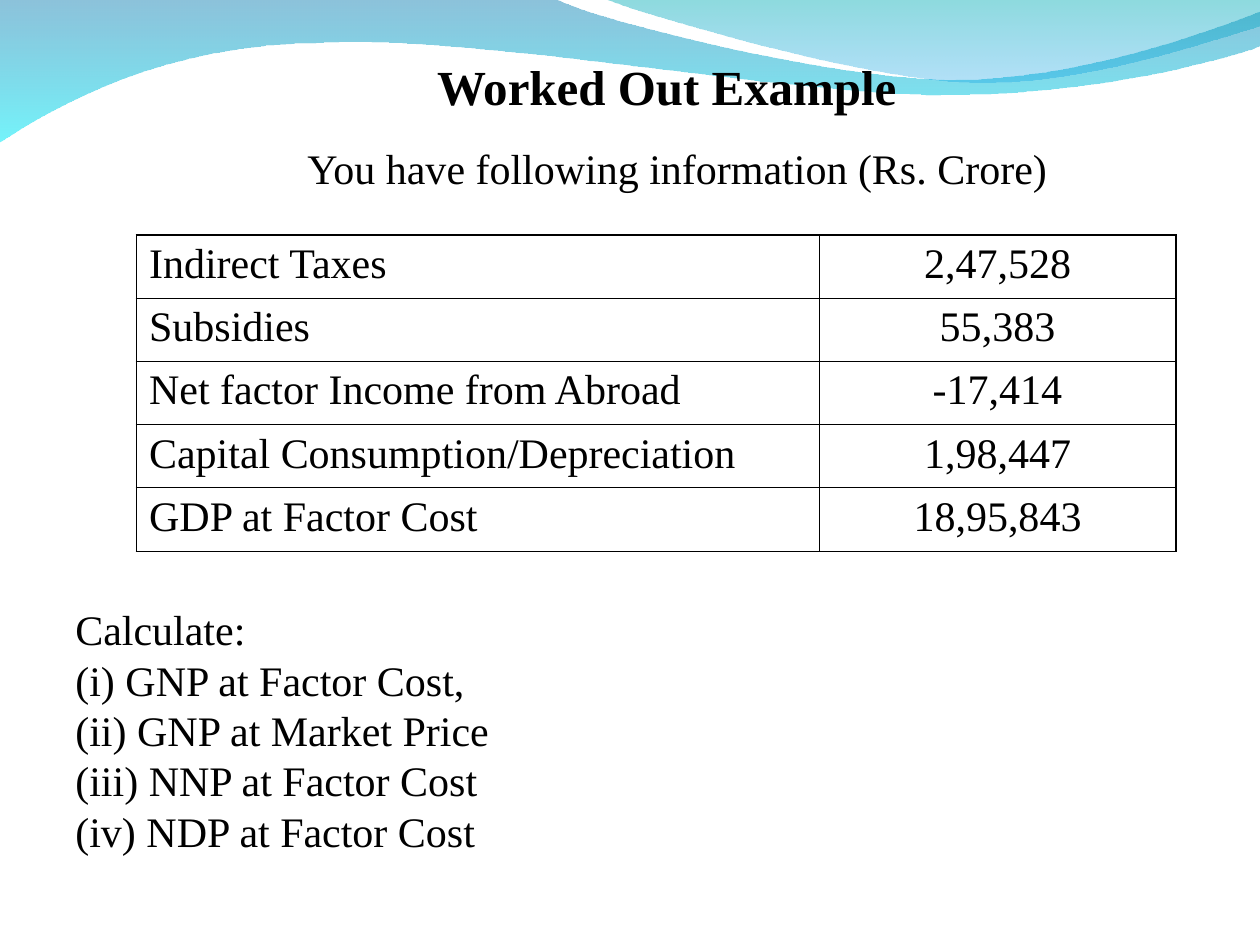
from lxml.etree import Element, SubElement
from pptx import Presentation
from pptx.dml.color import RGBColor
from pptx.enum.text import MSO_ANCHOR as ANCHOR, PP_ALIGN as ALIGN
from pptx.oxml.ns import qn
from pptx.util import Inches, Pt

COLS, ROWS = 120, 90
CELL = Inches(10) / COLS
FONT = "Times New Roman"
BLACK = "000000"

LOWER_WAVE = [
    [(0, -0.01)],
    [(4.4, -0.01)],
    [(4.76, 0.17), (6.64, 0.63), (7.58, 0.63)],
    [(8.53, 0.63), (9.58, 0.26), (10, 0.09)],
    [(10.01, 0.36)],
    [(9.83, 0.44), (8.7, 0.76), (7.46, 0.75)],
    [(6.22, 0.75), (3.82, 0.28), (2.57, 0.34)],
    [(1.29, 0.35), (0.46, 0.83), (-0.01, 1.13)],
]
UPPER_WAVE = [
    [(4.79, -0.01)],
    [(5.09, 0.11), (6.82, 0.62), (7.69, 0.65)],
    [(8.56, 0.69), (9.61, 0.32), (10, 0.21)],
    [(10, 0)],
]
DATA = [
    ("Indirect Taxes", "2,47,528"),
    ("Subsidies", "55,383"),
    ("Net factor Income from Abroad", "-17,414"),
    ("Capital Consumption/Depreciation", "1,98,447"),
    ("GDP at Factor Cost", "18,95,843"),
]
TASKS = [
    "Calculate:",
    "(i) GNP at Factor Cost,",
    "(ii) GNP at Market Price",
    "(iii) NNP at Factor Cost",
    "(iv) NDP at Factor Cost",
]


def color(value):
    return RGBColor.from_string(value)


def grid(*units):
    return [round(u * CELL) for u in units]


def bend_edges(sp, segments):
    edges = list(sp._element.iter(qn("a:lnTo")))
    for edge, segment in zip(edges, segments[1:]):
        if len(segment) == 3:
            curve = Element(qn("a:cubicBezTo"))
            for x, y in segment:
                SubElement(curve, qn("a:pt"), x=str(x - sp.left), y=str(y - sp.top))
            edge.getparent().replace(edge, curve)


def add_wave(slide, outline, stops):
    segments = [[(Inches(x), Inches(y)) for x, y in seg] for seg in outline]
    start, *ends = [seg[-1] for seg in segments]
    builder = slide.shapes.build_freeform(*start)
    builder.add_line_segments(ends, close=True)
    sp = builder.convert_to_shape()
    bend_edges(sp, segments)
    sp.shadow.inherit = False
    sp.line.fill.background()
    sp.fill.gradient()
    sp.fill.gradient_angle = 270
    for stop, (value, opacity) in zip(sp.fill.gradient_stops, stops):
        stop.color.rgb = color(value)
    for clr, (value, opacity) in zip(sp._element.spPr.iter(qn("a:srgbClr")), stops):
        SubElement(clr, qn("a:alpha"), val=str(opacity * 1000))


def style(p, size=24, align=ALIGN.LEFT, bold=False):
    p.alignment = align
    p.font.name = FONT
    p.font.size = Pt(size)
    p.font.bold = bold
    p.font.color.rgb = color(BLACK)


def add_text(slide, box, text, anchor=ANCHOR.MIDDLE, **font):
    sp = slide.shapes.add_textbox(*grid(*box))
    tf = sp.text_frame
    tf.word_wrap = True
    tf.vertical_anchor = anchor
    p = tf.paragraphs[0]
    p.text = text
    style(p, **font)
    return tf


def add_border(cell, side, width):
    ln = SubElement(cell._tc.get_or_add_tcPr(), qn(f"a:ln{side}"), w=str(Pt(width)))
    fill = SubElement(ln, qn("a:solidFill"))
    SubElement(fill, qn("a:srgbClr"), val=BLACK)


def add_data_table(slide, left, top, widths, height):
    size = grid(left, top, sum(widths), height * len(DATA))
    table = slide.shapes.add_table(len(DATA), len(widths), *size).table
    table.first_row = table.horz_banding = False
    for column, width in zip(table.columns, grid(*widths)):
        column.width = width
    for i, row in enumerate(DATA):
        for j, text in enumerate(row):
            cell = table.cell(i, j)
            p = cell.text_frame.paragraphs[0]
            p.text = text
            p.space_before = Pt(6)
            style(p, align=ALIGN.CENTER if j else ALIGN.LEFT)
            thick = {"L": j == 0, "R": j == 1, "T": i == 0, "B": False}
            for side, is_thick in thick.items():
                add_border(cell, side, 1.08 if is_thick else 0.45)
            cell.fill.background()


def main():
    prs = Presentation()
    prs.slide_width, prs.slide_height = grid(COLS, ROWS)
    slide = prs.slides.add_slide(prs.slide_layouts[6])
    add_wave(slide, LOWER_WAVE, [("0079AF", 45), ("00EBF8", 55)])
    add_wave(slide, UPPER_WAVE, [("00ADB6", 45), ("009BE5", 30)])
    title = add_text(slide, (14, 3, 99, 8), "Worked Out Example",
                     anchor=ANCHOR.BOTTOM, size=28, align=ALIGN.CENTER, bold=True)
    title.margin_left = title.margin_right = title.margin_bottom = 0
    add_data_table(slide, 13, 22.37, (65, 34), 6.02)
    add_text(slide, (15, 12, 99, 8), "You have following information (Rs. Crore)",
             align=ALIGN.CENTER)
    add_text(slide, (6, 56, 109, 27), "\n".join(TASKS))
    prs.save("out.pptx")


if __name__ == "__main__":
    main()
